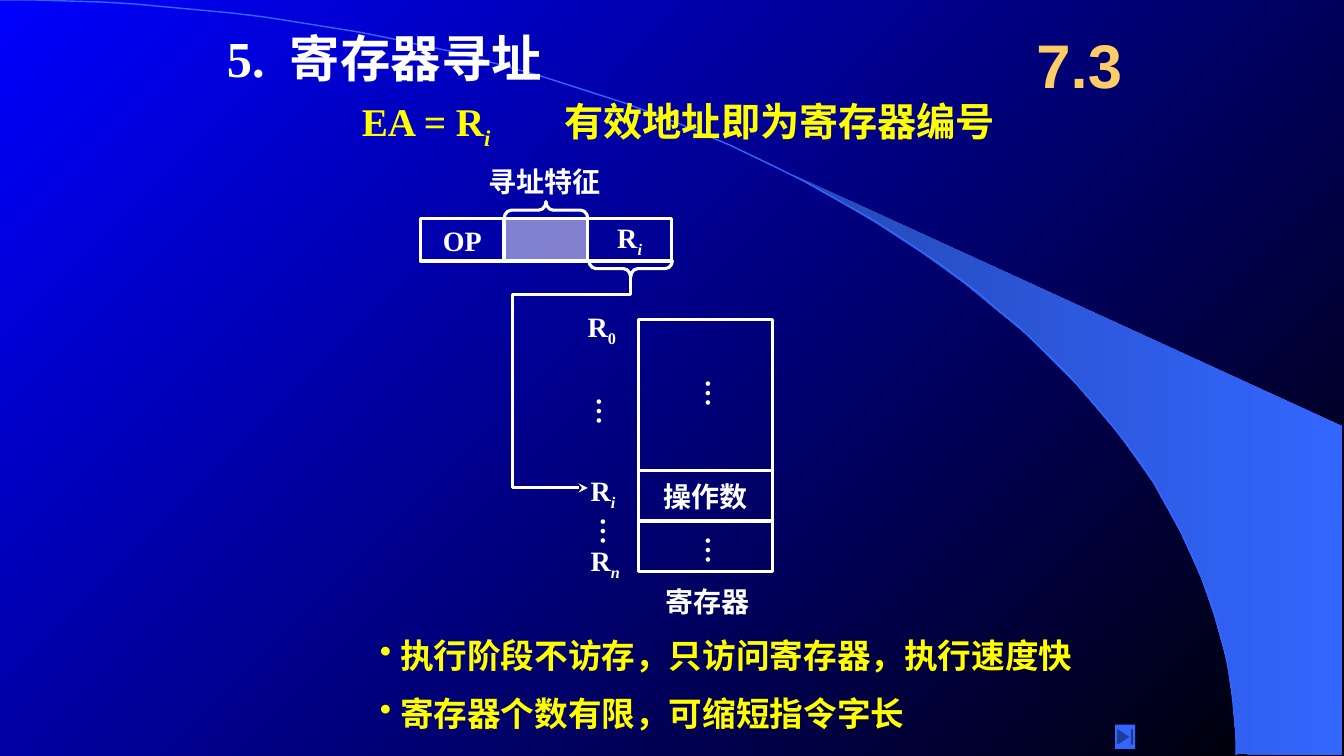
import pptx
import pptx.dml.color
import pptx.enum.shapes
import pptx.enum.text
import pptx.oxml
import pptx.oxml.ns
import pptx.util

SHAPE = pptx.enum.shapes.MSO_SHAPE
ALIGN = pptx.enum.text.PP_ALIGN
ANCHOR = pptx.enum.text.MSO_ANCHOR
GROW = pptx.enum.text.MSO_AUTO_SIZE.SHAPE_TO_FIT_TEXT
NO_FIT = pptx.enum.text.MSO_AUTO_SIZE.NONE

COLORS = {
    "white": "FFFFFF", "yellow": "FFFF00", "gold": "FFCC66",
    "blue": "0000FF", "black": "000000",
    "swoosh_dark": "2449B6", "swoosh": "3366FF",
}
SUB = {"baseline": "-25000"}
SUB_ITALIC = {"baseline": "-25000", "i": "1"}


def px(length):
    """Convert px, 100 to the inch, into EMU."""
    return pptx.util.Emu(length * 9144)


def rgb(name):
    return pptx.dml.color.RGBColor.from_string(COLORS[name])


def set_gradient(fill, names, angle):
    fill.gradient()
    fill.gradient_angle = angle
    for stop, name in zip(fill.gradient_stops, names):
        stop.color.rgb = rgb(name)


def add_xml(parent, tag, **attributes):
    child = pptx.oxml.parse_xml(f"<{tag} {pptx.oxml.ns.nsdecls('a')}/>")
    for key, value in attributes.items():
        child.set(key, value)
    parent.append(child)


class SlideBuilder:
    font = {"name": "Times New Roman", "bold": True}
    line_width = 2.25

    def __init__(self, presentation):
        self.slide = presentation.slides.add_slide(presentation.slide_layouts[5])
        self.shapes = self.slide.shapes

    def style(self, shape, fill=None, line="white", width=line_width, alpha=None):
        shape.shadow.inherit = False
        if fill:
            shape.fill.solid()
            shape.fill.fore_color.rgb = rgb(fill)
            if alpha:
                color = shape.element.spPr.find(".//" + pptx.oxml.ns.qn("a:srgbClr"))
                add_xml(color, "a:alpha", val=str(alpha * 1000))
        else:
            shape.fill.background()
        if line:
            shape.line.color.rgb = rgb(line)
            shape.line.width = pptx.util.Pt(width)
        else:
            shape.line.fill.background()

    def set_text(self, shape, runs, size=20, color="white", align=ALIGN.LEFT,
                 anchor=ANCHOR.TOP, wrap=False, fit=GROW, **font):
        """Fill a shape with runs, each a (text, run attributes) pair."""
        frame = shape.text_frame
        layout = {"word_wrap": wrap, "auto_size": fit, "vertical_anchor": anchor,
                  "margin_left": px(10), "margin_right": px(10),
                  "margin_top": px(5), "margin_bottom": px(5)}
        for key, value in layout.items():
            setattr(frame, key, value)
        paragraph = frame.paragraphs[0]
        paragraph.alignment = align
        for text, attributes in runs:
            run = paragraph.add_run()
            run.text = text
            values = {**self.font, "size": pptx.util.Pt(size), **font}
            for key, value in values.items():
                setattr(run.font, key, value)
            run.font.color.rgb = rgb(color)
            for key, value in attributes.items():
                run._r.get_or_add_rPr().set(key, value)

    def title(self, box, runs, size):
        title = self.shapes.title
        title.left, title.top, title.width, title.height = map(px, box)
        title.element.getparent().append(title.element)
        self.set_text(title, runs, size, wrap=True, fit=NO_FIT)

    def text(self, box, runs, **options):
        shape = self.shapes.add_textbox(*map(px, box))
        self.set_text(shape, runs, **options)
        return shape

    def bullet(self, box, text, **options):
        shape = self.text(box, [(text, {})], wrap=True, **options)
        properties = shape.text_frame.paragraphs[0]._p.get_or_add_pPr()
        properties.set("marL", str(px(20)))
        properties.set("indent", str(px(-20)))
        add_xml(properties, "a:buChar", char="•")

    def ellipsis(self, left, top):
        shape = self.text((left, top, 54, 38), [("…", {})])
        shape.element.txBody.bodyPr.set("vert", "eaVert")

    def shape(self, kind, box, runs=(), **style):
        shape = self.shapes.add_shape(kind, *map(px, box))
        self.style(shape, **style)
        if runs:
            self.set_text(shape, runs, align=ALIGN.CENTER, anchor=ANCHOR.MIDDLE, fit=NO_FIT)
        return shape

    def brace(self, left, top, rotation):
        brace = self.shape(SHAPE.LEFT_BRACE, (left, top, 17, 83))
        brace.rotation = rotation
        brace.adjustments[0] = 0.417

    def outline(self, points, close=False, **style):
        builder = self.shapes.build_freeform(*points[0], scale=9144.0)
        builder.add_line_segments(points[1:], close=close)
        shape = builder.convert_to_shape()
        self.style(shape, **style)
        return shape


def arc_points(steps=60):
    """Sample the cubic curve from the top left to the bottom right."""
    curve = [(0, 0), (677, 0), (1226, 335), (1226, 749)]
    points = []
    for step in range(steps + 1):
        t = step / steps
        weights = ((1 - t) ** 3, 3 * t * (1 - t) ** 2, 3 * t * t * (1 - t), t ** 3)
        points.append(tuple(sum(w * point[axis] for w, point in zip(weights, curve))
                            for axis in (0, 1)))
    return points


def add_backdrop(builder):
    set_gradient(builder.slide.background.fill, ("blue", "black"), 315)
    swoosh = builder.outline(
        [(1227, 748), (1331, 749), (1331, 423), (786, 173), (832, 199), (870, 222),
         (913, 250), (955, 280), (1016, 330), (1070, 384), (1110, 431), (1144, 479),
         (1171, 528), (1191, 572), (1204, 609), (1217, 656), (1223, 696)],
        close=True, line=None)
    set_gradient(swoosh.fill, ("swoosh_dark", "swoosh"), 0)
    builder.outline(arc_points(), line="swoosh", width=1)


def add_instruction(builder):
    cells = [([("OP", {})], {}), ([], {"fill": "white", "alpha": 50}),
             ([("R", {}), ("i", SUB_ITALIC)], {})]
    for index, (runs, style) in enumerate(cells):
        builder.shape(SHAPE.RECTANGLE, (417 + 83 * index, 217, 83, 42), runs, **style)
    builder.brace(533, 167, 90)
    builder.text((475, 158, 132, 43), [("寻址特征", {})])
    builder.brace(617, 225, 270)
    arrow = builder.outline([(625, 275), (625, 292), (508, 292), (508, 484), (583, 484)])
    add_xml(arrow.line._get_or_add_ln(), "a:tailEnd", type="stealth")


def add_registers(builder):
    top = 317
    for height, runs in ((150, []), (50, [("操作数", {})]), (50, [])):
        builder.shape(SHAPE.RECTANGLE, (633, top, 133, height), runs)
        top += height
    for left, top in ((679, 367), (679, 522), (571, 384), (575, 504)):
        builder.ellipsis(left, top)
    for box, index, style in (((573, 302, 50, 44), "0", SUB),
                              ((576, 465, 46, 44), "i", SUB_ITALIC),
                              ((576, 534, 51, 44), "n", SUB_ITALIC)):
        builder.text(box, [("R", {}), (index, style)])
    builder.text((650, 575, 133, 43), [("寄存器", {})], wrap=True)


def main():
    presentation = pptx.Presentation()
    presentation.slide_width, presentation.slide_height = px(1333), px(750)
    builder = SlideBuilder(presentation)
    add_backdrop(builder)
    builder.title((215, 22, 377, 70),
                  [("5.", {}), (" ", {"spc": "900"}), ("寄存器寻址", {})], 36)
    heading = {"size": 28, "color": "yellow"}
    builder.text((349, 92, 151, 57), [("EA = R", {}), ("i", SUB_ITALIC)], **heading)
    builder.text((550, 92, 483, 57), [("有效地址即为寄存器编号", {})], wrap=True, **heading)
    add_instruction(builder)
    add_registers(builder)
    for top, text in ((625, "执行阶段不访存，只访问寄存器，执行速度快"),
                      (683, "寄存器个数有限，可缩短指令字长")):
        builder.bullet((367, top, 742, 50), text, size=24, color="yellow")
    builder.text((1008, 17, 125, 92), [("7.3", {})], size=44, color="gold", name="Arial",
                 align=ALIGN.CENTER, anchor=ANCHOR.MIDDLE, wrap=True, fit=NO_FIT)
    builder.shape(SHAPE.ACTION_BUTTON_END, (1106, 719, 20, 24), fill="swoosh", line=None)
    presentation.save("out.pptx")


if __name__ == "__main__":
    main()
